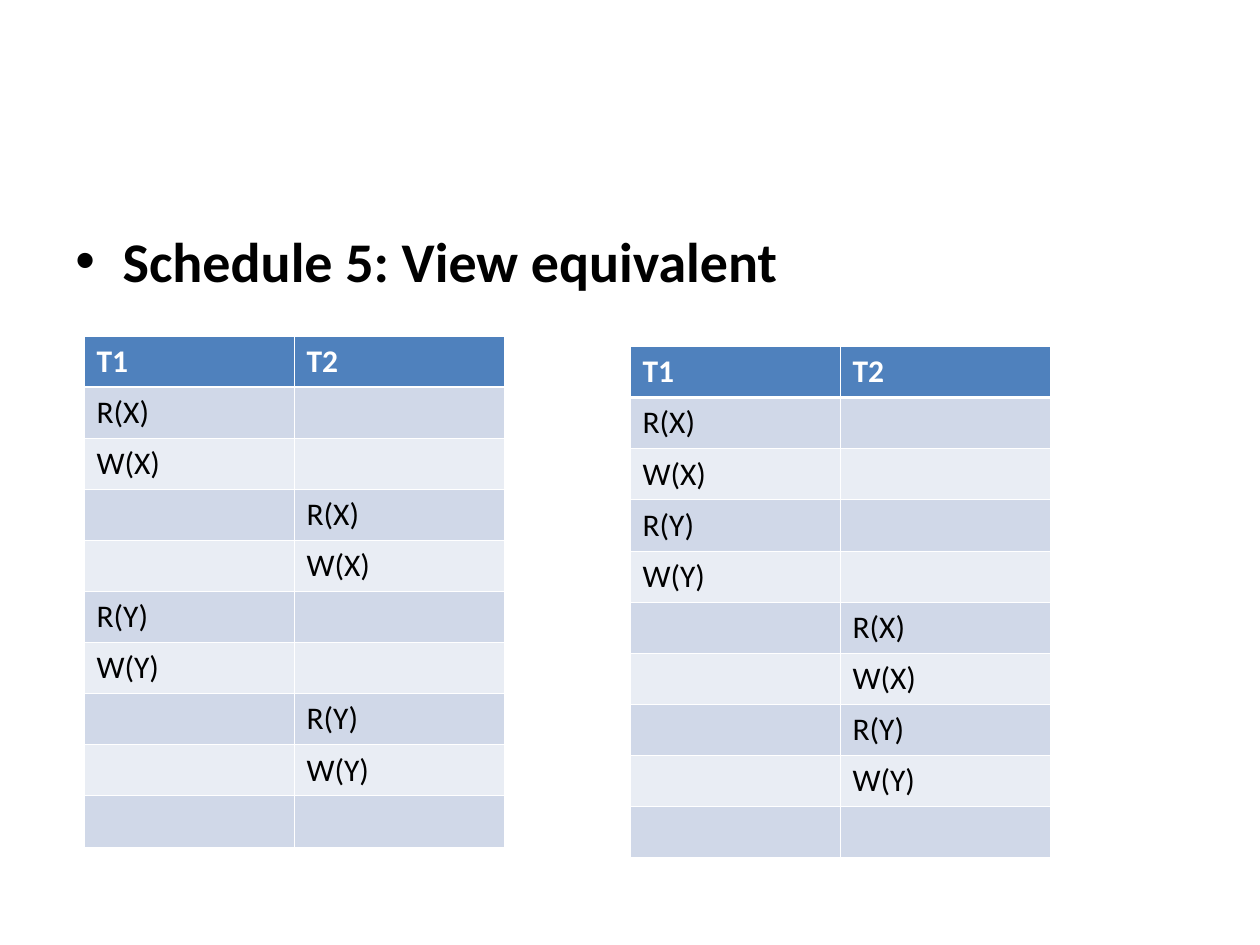
import dataclasses

import pptx
import pptx.dml.color
import pptx.enum.text
import pptx.oxml
import pptx.oxml.ns
import pptx.util

Pt = pptx.util.Pt


@dataclasses.dataclass(frozen=True)
class Theme:
    font: str = "Calibri"
    ink: str = "000000"
    paper: str = "FFFFFF"
    header: str = "4F81BD"
    bands: tuple = ("D0D8E8", "E9EDF4")
    heading_size: float = 32
    cell_size: float = 18
    rule: float = 0.45
    header_rule: float = 1.47


THEME = Theme()
HEADERS = ("T1", "T2")
INTERLEAVED = (
    ("R(X)", ""), ("W(X)", ""), ("", "R(X)"), ("", "W(X)"),
    ("R(Y)", ""), ("W(Y)", ""), ("", "R(Y)"), ("", "W(Y)"), ("", ""),
)
SERIAL = (
    ("R(X)", ""), ("W(X)", ""), ("R(Y)", ""), ("W(Y)", ""),
    ("", "R(X)"), ("", "W(X)"), ("", "R(Y)"), ("", "W(Y)"), ("", ""),
)


def rgb(color):
    return pptx.dml.color.RGBColor.from_string(color)


def add_element(parent, markup):
    namespace = pptx.oxml.ns.nsdecls("a")
    parent.append(pptx.oxml.parse_xml(markup.replace("/>", f" {namespace}/>", 1)
                                      if markup.endswith("/>") and markup.count("<") == 1
                                      else markup.replace(">", f" {namespace}>", 1)))


def write_text(para, text, size, color=THEME.ink, bold=False):
    span = para.add_run()
    span.text = text
    span.font.name = THEME.font
    span.font.size = Pt(size)
    span.font.bold = bold
    span.font.color.rgb = rgb(color)


def add_heading(page, box, text):
    frame = page.shapes.add_textbox(*map(Pt, box)).text_frame
    frame.word_wrap = True
    frame.vertical_anchor = pptx.enum.text.MSO_ANCHOR.TOP
    para = frame.paragraphs[0]
    properties = para._p.get_or_add_pPr()
    properties.set("marL", str(Pt(27)))
    properties.set("indent", str(-Pt(27)))
    add_element(properties, f'<a:buClr><a:srgbClr val="{THEME.ink}"/></a:buClr>')
    add_element(properties, '<a:buFont typeface="Arial"/>')
    add_element(properties, '<a:buChar char="•"/>')
    write_text(para, text, THEME.heading_size, bold=True)


def style_cell(cell, fill, top, bottom):
    widths = {"lnL": THEME.rule, "lnR": THEME.rule, "lnT": top, "lnB": bottom}
    for side, width in widths.items():
        add_element(
            cell._tc.get_or_add_tcPr(),
            f'<a:{side} w="{Pt(width)}"><a:solidFill>'
            f'<a:srgbClr val="{THEME.paper}"/></a:solidFill></a:{side}>',
        )
    cell.fill.solid()
    cell.fill.fore_color.rgb = rgb(fill)


def add_schedule(page, box, steps):
    rows = (HEADERS, *steps)
    table = page.shapes.add_table(len(rows), len(HEADERS), *map(Pt, box)).table
    for column in table.columns:
        column.width = Pt(box[2] / len(HEADERS))
    for index, texts in enumerate(rows):
        table.rows[index].height = Pt(box[3] / len(rows))
        is_header = index == 0
        fill = THEME.header if is_header else THEME.bands[(index - 1) % 2]
        top = THEME.header_rule if index == 1 else THEME.rule
        bottom = THEME.header_rule if is_header else THEME.rule
        for position, text in enumerate(texts):
            cell = table.cell(index, position)
            style_cell(cell, fill, top, bottom)
            if text:
                write_text(cell.text_frame.paragraphs[0], text, THEME.cell_size,
                           color=THEME.paper if is_header else THEME.ink,
                           bold=is_header)


def main():
    deck = pptx.Presentation()
    deck.slide_width, deck.slide_height = Pt(720), Pt(540)
    page = deck.slides.add_slide(deck.slide_layouts[6])
    add_heading(page, (36, 126, 648, 93), "Schedule 5: View equivalent")
    add_schedule(page, (48, 192, 240, 292), INTERLEAVED)
    add_schedule(page, (360, 198, 240, 292), SERIAL)
    deck.save("out.pptx")


if __name__ == "__main__":
    main()
